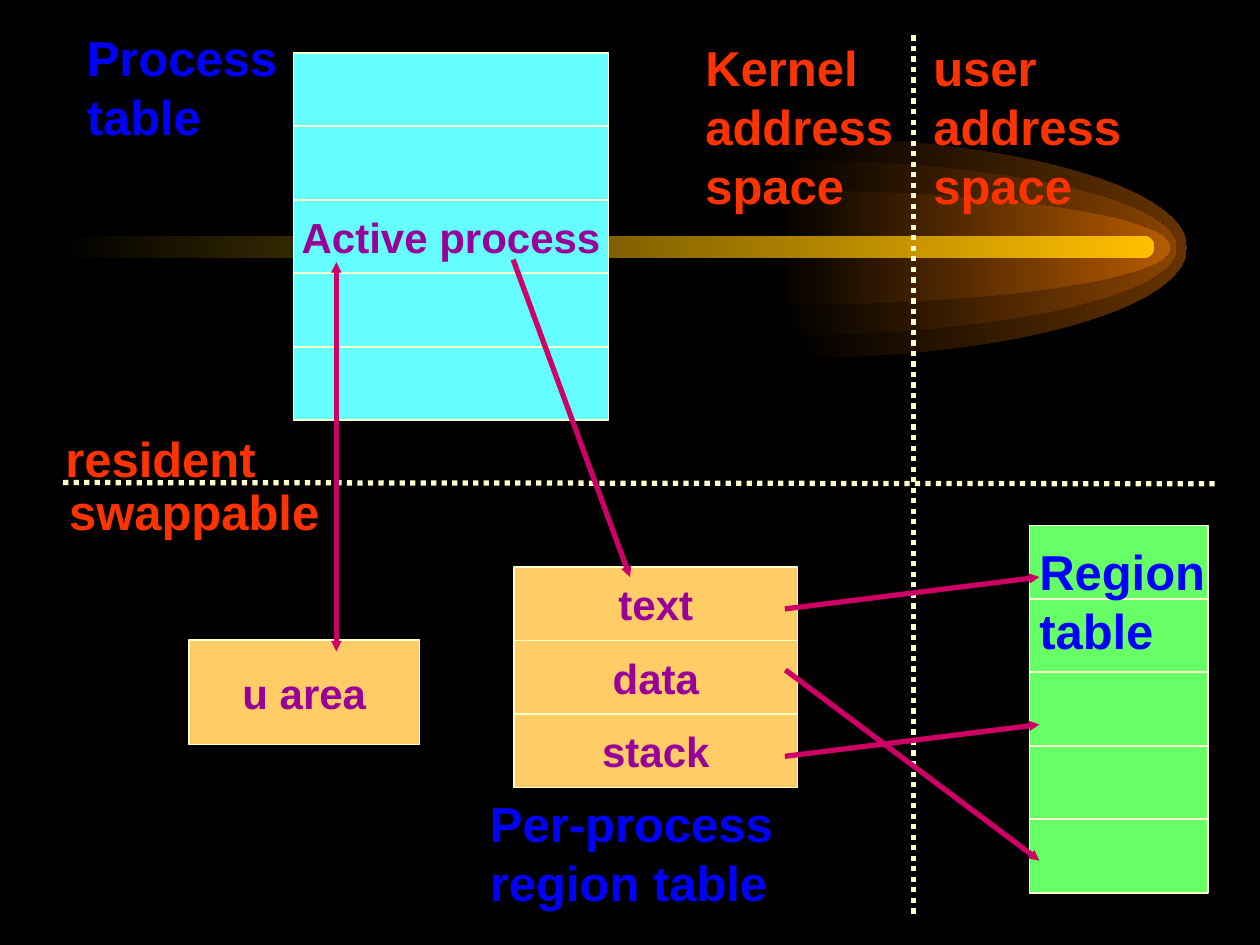
import pptx
import pptx.util
import pptx.dml.color
import pptx.enum.dml
import pptx.enum.shapes
import pptx.enum.text
import pptx.oxml.ns
from lxml import etree

Inches = pptx.util.Inches
Pt = pptx.util.Pt
RGB = pptx.dml.color.RGBColor.from_string
MSO_SHAPE = pptx.enum.shapes.MSO_SHAPE
qn = pptx.oxml.ns.qn

THEME = {
    "font": "Arial",
    "background": "000000",
    "outline": "FFFFCC",
    "process": "66FFFF",
    "memory": "FFCC66",
    "region": "66FF66",
    "entry": "990099",
    "caption": "0000FF",
    "zone": "FF3300",
    "arrow": "CC0066",
    "beam": "FFBF00",
    "glow": ["663300", "894400", "B75B00"],
    "entry_size": 24,
    "label_size": 28,
    "label_pitch": 33.6,
    "thin": 1,
    "thick": 3,
}


def write_text(shape, wording, size, color, align, frame_format, spacing=None):
    frame = shape.text_frame
    frame.text = wording
    for name, value in frame_format.items():
        setattr(frame, name, value)
    font_format = {"name": THEME["font"], "size": Pt(size), "bold": True}
    for paragraph in frame.paragraphs:
        paragraph.alignment = align
        paragraph.line_spacing = spacing
        for name, value in font_format.items():
            setattr(paragraph.runs[0].font, name, value)
        paragraph.runs[0].font.color.rgb = RGB(color)


def draw_line(start, end, color, dash=None, ends=()):
    x1, y1, x2, y2 = map(Inches, start + end)
    connector = slide.shapes.add_connector(pptx.enum.shapes.MSO_CONNECTOR.STRAIGHT, x1, y1, x2, y2)
    connector.line.color.rgb = RGB(color)
    for name, value in {"width": Pt(THEME["thick"]), "dash_style": dash}.items():
        setattr(connector.line, name, value)
    properties = connector.line._get_or_add_ln()
    if ends:
        properties.set("cap", "sq")
    for end_name in ends:
        etree.SubElement(properties, qn(f"a:{end_name}"), type="triangle", w="sm", len="sm")
    etree.SubElement(connector._element.spPr, qn("a:effectLst"))


deck = pptx.Presentation()
for name, value in {"slide_width": Inches(10), "slide_height": Inches(7.5)}.items():
    setattr(deck, name, value)
slide = deck.slides.add_slide(deck.slide_layouts[6])
slide.background.fill.solid()
slide.background.fill.fore_color.rgb = RGB(THEME["background"])

axis = 1.965
glow_width = 3.13
comet = []
for left, half_height, color in zip([6.29, 6.21, 6.16], [0.875, 0.695, 0.455], THEME["glow"]):
    upper = [(0, -1), (0.55, -1), (1, -0.55), (1, 0)]
    lower = [(1, 0.55), (0.55, 1), (0, 1), (0, 0)]
    rim = [(Inches(left + glow_width * x), Inches(axis + half_height * y)) for x, y in upper + lower]
    builder = slide.shapes.build_freeform(*rim[0])
    builder.add_line_segments(rim[1:], close=True)
    glow = builder.convert_to_shape()
    segments = list(glow._element.iter(qn("a:lnTo")))
    for first in (0, 3):
        curve = etree.Element(qn("a:cubicBezTo"))
        segments[first].addprevious(curve)
        for segment in segments[first:first + 3]:
            curve.append(segment[0])
            segment.getparent().remove(segment)
    comet.append((glow, color))
beam = slide.shapes.add_shape(MSO_SHAPE.ROUNDED_RECTANGLE,
                              Inches(0.5), Inches(1.87), Inches(8.66), Inches(0.18))
beam.adjustments[0] = 0.5
comet.append((beam, THEME["beam"]))
for streak, color in comet:
    streak.shadow.inherit = False
    streak.line.fill.background()
    streak.fill.gradient()
    streak.fill.gradient_angle = 0
    for stop, position, shade in zip(streak.fill.gradient_stops, (0, 1), (THEME["background"], color)):
        stop.position = position
        stop.color.rgb = RGB(shade)

row = 7 / 12
tables = [
    (2.33, 0.42, 2.5, row, "process", ["", "", "Active process", "", ""]),
    (1.5, 5.08, 1.83, 0.83, "memory", ["u area"]),
    (4.08, 4.5, 2.25, row, "memory", ["text", "data", "stack"]),
    (8.17, 4.17, 1.42, row, "region", [""] * 5),
]
entry_frame = {"word_wrap": False, "vertical_anchor": pptx.enum.text.MSO_ANCHOR.MIDDLE}
for left, top, width, height, kind, entries in tables:
    for index, entry in enumerate(entries):
        cell = slide.shapes.add_shape(MSO_SHAPE.RECTANGLE, Inches(left), Inches(top + index * height),
                                      Inches(width), Inches(height))
        cell.shadow.inherit = False
        cell.fill.solid()
        cell.fill.fore_color.rgb = RGB(THEME[kind])
        cell.line.color.rgb = RGB(THEME["outline"])
        cell.line.width = Pt(THEME["thin"])
        if entry:
            write_text(cell, entry, THEME["entry_size"], THEME["entry"],
                       pptx.enum.text.PP_ALIGN.CENTER, entry_frame)

for start, end in [((0.5, 3.83), (9.67, 3.84)), ((7.25, 7.25), (7.25, 0.25))]:
    draw_line(start, end, THEME["outline"], dash=pptx.enum.dml.MSO_LINE.ROUND_DOT)

pointers = [
    ((4.08, 2.08), (5, 4.58), ["tailEnd"]),
    ((2.67, 2.08), (2.67, 5.17), ["headEnd", "tailEnd"]),
    ((6.25, 4.83), (8.25, 4.58), ["tailEnd"]),
    ((6.25, 5.33), (8.25, 6.83), ["tailEnd"]),
    ((6.25, 6), (8.25, 5.75), ["tailEnd"]),
]
for start, end, ends in pointers:
    draw_line(start, end, THEME["arrow"], ends=ends)

labels = [
    (0.42, 3.35, 1.75, "zone", "resident"),
    (0.45, 3.77, 2.22, "zone", "swappable"),
    (0.59, 0.17, 1.75, "caption", "Process\ntable"),
    (3.79, 6.25, 2.48, "caption", "Per-process\nregion table"),
    (8.15, 4.25, 1.55, "caption", "Region\ntable"),
    (5.5, 0.25, 1.73, "zone", "Kernel\naddress\nspace"),
    (7.31, 0.25, 1.73, "zone", "user\naddress\nspace"),
]
label_frame = {"word_wrap": False, "auto_size": pptx.enum.text.MSO_AUTO_SIZE.NONE}
for left, top, width, kind, wording in labels:
    height = 0.1 + 0.47 * len(wording.split("\n"))
    label = slide.shapes.add_textbox(Inches(left), Inches(top), Inches(width), Inches(height))
    write_text(label, wording, THEME["label_size"], THEME[kind],
               pptx.enum.text.PP_ALIGN.LEFT, label_frame, Pt(THEME["label_pitch"]))

deck.save("out.pptx")
